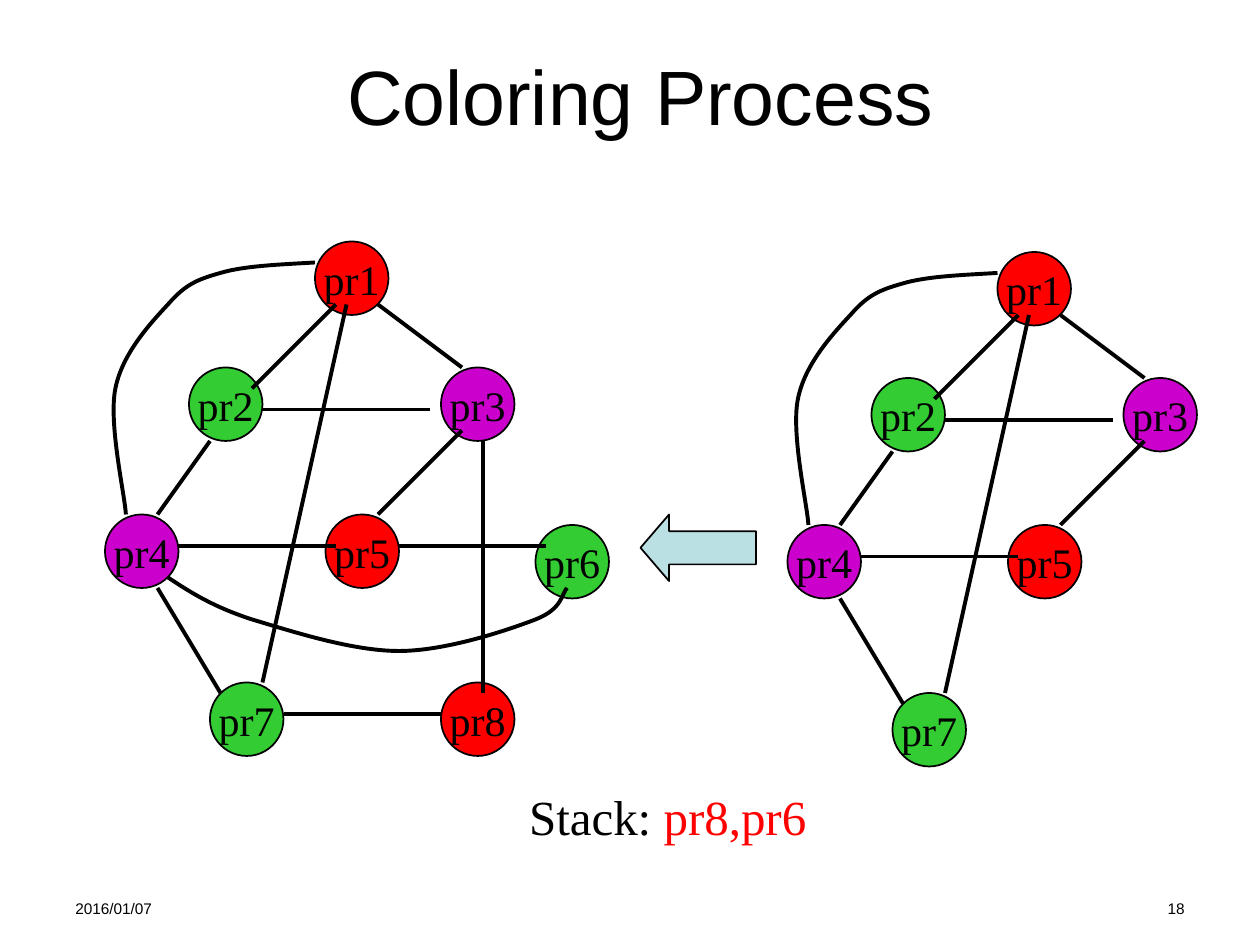
from lxml import etree
from pptx import Presentation
from pptx.dml.color import RGBColor
from pptx.enum.shapes import MSO_CONNECTOR, MSO_SHAPE
from pptx.enum.text import MSO_ANCHOR, MSO_AUTO_SIZE, PP_ALIGN
from pptx.oxml.ns import qn
from pptx.util import Pt

OVAL, ARROW = MSO_SHAPE.OVAL, MSO_SHAPE.LEFT_ARROW
STRAIGHT = MSO_CONNECTOR.STRAIGHT
LEFT, MID, RIGHT = PP_ALIGN.LEFT, PP_ALIGN.CENTER, PP_ALIGN.RIGHT
TOP, MIDDLE = MSO_ANCHOR.TOP, MSO_ANCHOR.MIDDLE
GROW = MSO_AUTO_SIZE.SHAPE_TO_FIT_TEXT

COLORS = {"black": "000000", "red": "FF0000", "green": "33CC33",
          "purple": "CC00CC", "arrow": "BBE0E3"}
SANS, SERIF = "Arial", "Times New Roman"

# Graph data is in grid steps of 6 points
STEP = 6
SIZE = 7  # node diameter in steps
NODES = {
    "pr1": (30, 23, "red"), "pr2": (18, 35, "green"),
    "pr3": (42, 35, "purple"), "pr4": (10, 49, "purple"),
    "pr5": (31, 49, "red"), "pr6": (51, 50, "green"),
    "pr7": (20, 65, "green"), "pr8": (42, 65, "red"),
}
EDGES = {
    ("pr1", "pr2"): (32, 29, 24, 37), ("pr1", "pr3"): (36, 29, 44, 35),
    ("pr1", "pr7"): (33, 29, 25, 65), ("pr2", "pr3"): (25, 39, 41, 39),
    ("pr2", "pr4"): (20, 42, 15, 49), ("pr3", "pr5"): (44, 41, 36, 49),
    ("pr3", "pr8"): (46, 42, 46, 66), ("pr4", "pr5"): (17, 52, 32, 52),
    ("pr4", "pr7"): (15, 56, 21, 66), ("pr5", "pr6"): (38, 52, 52, 52),
    ("pr7", "pr8"): (27, 68, 42, 68),
}
# Start point, then three Bezier points for each segment
CURVES = {
    ("pr1", "pr4"): [
        (30, 25), (26.64, 25.2), (23.28, 25.32), (21, 26),
        (18.72, 26.64), (17.64, 27.12), (16, 29),
        (14.28, 30.84), (11.64, 33.72), (11, 37),
        (10.32, 40.32), (11.88, 47.04), (12, 49)],
    ("pr4", "pr6"): [
        (16, 55), (18.1, 56.4), (20.3, 57.8), (24, 59),
        (27.7, 60.1), (33.5, 62), (38, 62),
        (42.5, 62), (48.4, 60), (51, 59),
        (53.6, 58), (53.5, 56.5), (54, 56)],
}
# Offset in steps, and the nodes already removed
GRAPHS = [((0, 0), set()), ((65, 1), {"pr6", "pr8"})]

# Box in points, runs, format
TEXTS = [
    ((60, 18, 612, 72), [("Coloring Process", "black")],
     dict(size=44, font=SANS, align=MID, anchor=MIDDLE)),
    ((295, 446, 173, 41), [("Stack: ", "black"), ("pr8,pr6", "red")],
     dict(size=28, align=MID, wrap=False, fit=GROW)),
    ((36, 510, 168, 19), [("2016/01/07", "black")],
     dict(size=8.8, font=SANS)),
    ((516, 510, 168, 19), [("18", "black")],
     dict(size=8.8, font=SANS, align=RIGHT)),
]

prs = Presentation()
prs.slide_width, prs.slide_height = Pt(720), Pt(540)
shapes = prs.slides.add_slide(prs.slide_layouts[6]).shapes


def color(name):
    return RGBColor.from_string(COLORS[name])


def write(shape, runs, size, font=SERIF, align=LEFT, anchor=TOP,
          wrap=True, fit=None):
    frame = shape.text_frame
    frame.word_wrap, frame.vertical_anchor = wrap, anchor
    if fit is not None:
        frame.auto_size = fit
    para = frame.paragraphs[0]
    para.alignment = align
    for words, tint in runs:
        run = para.add_run()
        run.text = words
        run.font.size, run.font.name = Pt(size), font
        run.font.color.rgb = color(tint)


def stroke(shape, width):
    shape.line.color.rgb = color("black")
    shape.line.width = Pt(width)


def add_solid(kind, box, fill):
    shape = shapes.add_shape(kind, *map(Pt, box))
    shape.shadow.inherit = False
    shape.fill.solid()
    shape.fill.fore_color.rgb = color(fill)
    stroke(shape, 1)
    return shape


def add_edge(ends):
    edge = shapes.add_connector(STRAIGHT, *map(Pt, ends))
    stroke(edge, 2.25)
    etree.SubElement(edge.element.spPr, qn("a:effectLst"))


def add_curve(points):
    """Build an open outline and turn each three lines into one Bezier."""
    spots = [(Pt(x), Pt(y)) for x, y in points]
    maker = shapes.build_freeform(*spots[0])
    maker.add_line_segments(spots[1:], close=False)
    curve = maker.convert_to_shape()
    curve.shadow.inherit = False
    curve.fill.background()
    stroke(curve, 2.25)
    track = next(curve.element.iter(qn("a:path")))
    lines = track.findall(qn("a:lnTo"))
    for i in range(0, len(lines), 3):
        bend = etree.SubElement(track, qn("a:cubicBezTo"))
        for line in lines[i:i + 3]:
            bend.append(line[0])
            track.remove(line)


def draw_graph(shift, gone):
    def place(x, y):
        return (x + shift[0]) * STEP, (y + shift[1]) * STEP

    for name, (x, y, fill) in NODES.items():
        if name not in gone:
            box = (*place(x, y), SIZE * STEP, SIZE * STEP)
            write(add_solid(OVAL, box, fill), [(name, "black")], size=24,
                  align=MID, anchor=MIDDLE, wrap=False)
    for pair, (x1, y1, x2, y2) in EDGES.items():
        if gone.isdisjoint(pair):
            add_edge((*place(x1, y1), *place(x2, y2)))
    for pair, points in CURVES.items():
        if gone.isdisjoint(pair):
            add_curve([place(*point) for point in points])


for box, runs, style in TEXTS:
    write(shapes.add_textbox(*map(Pt, box)), runs, **style)
arrow = add_solid(ARROW, (366, 294, 66, 38), "arrow")
arrow.adjustments[0], arrow.adjustments[1] = 0.5, 0.43
for shift, gone in GRAPHS:
    draw_graph(shift, gone)

prs.save("out.pptx")
